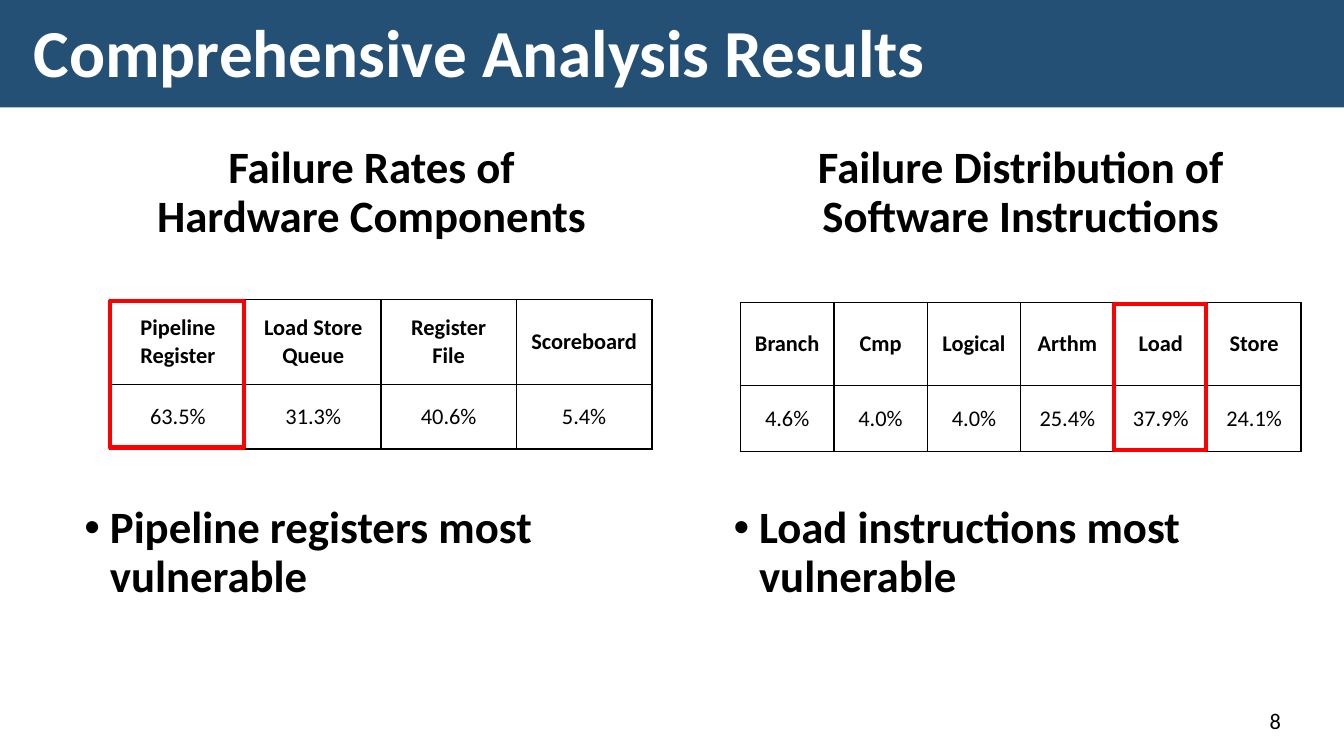
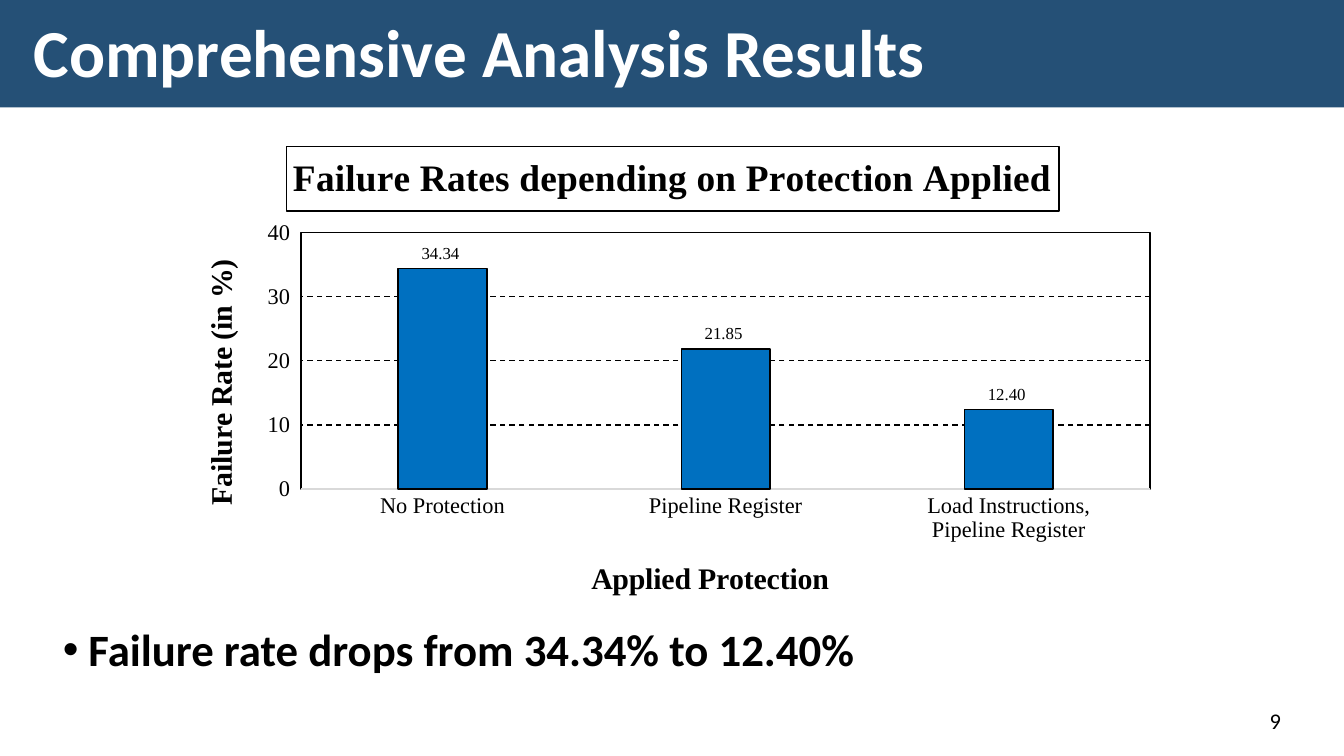
from dataclasses import dataclass

from lxml import etree
from pptx import Presentation
from pptx.chart.data import CategoryChartData
from pptx.dml.color import RGBColor
from pptx.enum.chart import XL_CHART_TYPE, XL_LABEL_POSITION, XL_TICK_MARK
from pptx.enum.dml import MSO_LINE
from pptx.enum.shapes import MSO_SHAPE
from pptx.enum.text import MSO_ANCHOR, PP_ALIGN
from pptx.oxml import parse_xml
from pptx.oxml.ns import nsdecls, qn
from pptx.util import Inches, Pt

COLUMNS = XL_CHART_TYPE.COLUMN_CLUSTERED
OUTSIDE_END = XL_LABEL_POSITION.OUTSIDE_END
NO_TICK = XL_TICK_MARK.NONE
DASH = MSO_LINE.DASH
RECTANGLE = MSO_SHAPE.RECTANGLE
TOP, MIDDLE, BOTTOM = MSO_ANCHOR.TOP, MSO_ANCHOR.MIDDLE, MSO_ANCHOR.BOTTOM
LEFT, CENTER, RIGHT = PP_ALIGN.LEFT, PP_ALIGN.CENTER, PP_ALIGN.RIGHT


@dataclass(frozen=True)
class Theme:
    """Colours, fonts and type sizes of the deck."""
    band: RGBColor = RGBColor(0x25, 0x50, 0x76)
    ink: RGBColor = RGBColor(0, 0, 0)
    paper: RGBColor = RGBColor(0xFF, 0xFF, 0xFF)
    highlight: RGBColor = RGBColor(0xFF, 0, 0)
    bar: RGBColor = RGBColor(0, 0x70, 0xC0)
    axis: RGBColor = RGBColor(0xD9, 0xD9, 0xD9)
    font: str = "Calibri"
    chart_font: str = "Times New Roman"
    title: int = 36
    body: int = 24
    small: int = 12
    chart_title: int = 20
    axis_title: int = 16
    value_label: int = 9


THEME = Theme()
TITLE = "Comprehensive Analysis Results"
PAGE_WIDTH = 10
PAGE_HEIGHT = PAGE_WIDTH * 9 / 16
CHART_BOX = (1.28, 0.96, 7.43, 3.7)


def style_font(font, size, bold=False, color=THEME.ink, name=THEME.font):
    """Set size, weight, colour and typeface."""
    font.size = Pt(size)
    font.bold = bold
    font.color.rgb = color
    font.name = name


def set_line(line, color, width):
    """Give a line its colour and width in points."""
    line.color.rgb = color
    line.width = Pt(width)


def write_text(frame, text, size, bold=False, color=THEME.ink, align=LEFT,
               anchor=TOP, wrap=True, spacing=0.9, bullet=False):
    """Write one formatted paragraph into a text frame."""
    frame.word_wrap = wrap
    frame.vertical_anchor = anchor
    frame.margin_left = frame.margin_right = Inches(0.1)
    frame.margin_top = frame.margin_bottom = Inches(0.05)
    para = frame.paragraphs[0]
    para.text = text
    para.alignment = align
    para.line_spacing = spacing
    if bullet:
        properties = para._p.get_or_add_pPr()
        properties.set("marL", str(Inches(0.19)))
        properties.set("indent", str(Inches(-0.19)))
        etree.SubElement(properties, qn("a:buFont"), typeface="Arial")
        etree.SubElement(properties, qn("a:buChar"), char="•")
    style_font(para.font, size, bold, color)


def add_text(page, box, text, size, **options):
    """Add a text box at the given left, top, width and height."""
    shape = page.shapes.add_textbox(*map(Inches, box))
    write_text(shape.text_frame, text, size, **options)


def add_rectangle(page, box):
    """Add a rectangle without a shadow."""
    shape = page.shapes.add_shape(RECTANGLE, *map(Inches, box))
    shape.shadow.inherit = False
    return shape


def add_page(deck, number):
    """Add a page with the title band, title and page number."""
    page = deck.slides.add_slide(deck.slide_layouts[5])
    band = add_rectangle(page, (0, 0, PAGE_WIDTH, 0.8))
    band.fill.solid()
    band.fill.fore_color.rgb = THEME.band
    band.line.fill.background()
    page.shapes._spTree.insert(2, band._element)
    title = page.shapes.title
    title.left, title.top, title.width, title.height = map(
        Inches, (0.15, 0.1, 9.7, 0.63))
    write_text(title.text_frame, TITLE, THEME.title, bold=True,
               color=THEME.paper, anchor=MIDDLE, wrap=False)
    add_text(page, (7.06, 5.21, 2.57, 0.3), str(number), THEME.small,
             align=RIGHT, anchor=BOTTOM, spacing=1)
    return page


def add_borders(cell):
    """Draw a thin line on each side of a cell."""
    properties = cell._tc.get_or_add_tcPr()
    for index, side in enumerate("LRTB"):
        properties.insert(index, parse_xml(
            f'<a:ln{side} {nsdecls("a")} w="{Pt(1)}"><a:solidFill>'
            f'<a:srgbClr val="{THEME.ink}"/></a:solidFill></a:ln{side}>'))


def add_rates(page, box, header_height, rates, marked):
    """Add a table of rates and outline its marked column."""
    left, top, width, height = box
    table = page.shapes.add_table(2, len(rates), *map(Inches, box)).table
    table.first_row = table.horz_banding = False
    step = width / len(rates)
    table.rows[0].height = Inches(header_height)
    table.rows[1].height = Inches(height - header_height)
    for column, pair in enumerate(rates.items()):
        table.columns[column].width = Inches(step)
        for row, text in enumerate(pair):
            cell = table.cell(row, column)
            cell.fill.background()
            add_borders(cell)
            cell.vertical_anchor = MIDDLE
            para = cell.text_frame.paragraphs[0]
            para.text = text
            para.alignment = CENTER
            style_font(para.font, THEME.small, bold=row == 0)
    offset = step * list(rates).index(marked)
    outline = add_rectangle(
        page, (left + offset, top + 0.01, step - 0.01, height - 0.02))
    outline.fill.background()
    set_line(outline.line, THEME.highlight, 2.25)


def add_finding(page, box, heading, conclusion):
    """Add a centred heading and the bullet below its table."""
    left, top, width, _ = box
    add_text(page, (left, top, width, 0.8), heading, THEME.body,
             bold=True, align=CENTER)
    add_text(page, (left, top + 2.68, width, 0.8), conclusion, THEME.body,
             bold=True, bullet=True)


def place(element, index, **inches):
    """Fix a chart part at lengths measured from the chart's corner."""
    _, _, width, height = CHART_BOX
    for old in element.findall(qn("c:layout")):
        element.remove(old)
    layout = etree.Element(qn("c:layout"))
    manual = etree.SubElement(layout, qn("c:manualLayout"))
    if "w" in inches:
        etree.SubElement(manual, qn("c:layoutTarget"), val="inner")
    for axis in "xy":
        etree.SubElement(manual, qn(f"c:{axis}Mode"), val="edge")
    for key, value in inches.items():
        share = value / (width if key in "xw" else height)
        etree.SubElement(manual, qn(f"c:{key}"), val=f"{share:.4f}")
    element.insert(index, layout)


def write_chart_title(title, text, size, x, y):
    """Write and place the title of a chart or an axis."""
    para = title.text_frame.paragraphs[0]
    para.text = text
    style_font(para.font, size, True, name=THEME.chart_font)
    place(title._element, 1, x=x, y=y)


def format_axes(chart):
    """Format both axes and write their titles."""
    categories, values = chart.category_axis, chart.value_axis
    for axis in (categories, values):
        axis.major_tick_mark = axis.minor_tick_mark = NO_TICK
        style_font(axis.tick_labels.font, THEME.small, name=THEME.chart_font)
    set_line(categories.format.line, THEME.axis, 0.75)
    values.format.line.fill.background()
    values.minimum_scale, values.maximum_scale = 0, 40
    values.major_unit = 10
    values.tick_labels.number_format = "0_ "
    values.tick_labels.number_format_is_linked = False
    grid = values.major_gridlines.format.line
    set_line(grid, THEME.ink, 0.75)
    grid.dash_style = DASH
    write_chart_title(categories.axis_title, "Applied Protection",
                      THEME.axis_title, 3.08, 3.16)
    write_chart_title(values.axis_title, "Failure Rate (in %)",
                      THEME.axis_title, 0.18, 0.93)
    body = values.axis_title.text_frame._txBody.bodyPr
    body.set("rot", "-5400000")
    body.set("vert", "horz")


def format_bars(plot):
    """Format the bars and their value labels."""
    plot.gap_width, plot.overlap = 219, -27
    plot.vary_by_categories = False
    bars = plot.series[0]
    bars.format.fill.solid()
    bars.format.fill.fore_color.rgb = THEME.bar
    set_line(bars.format.line, THEME.ink, 0.75)
    labels = bars.data_labels
    labels.show_value = True
    labels.position = OUTSIDE_END
    labels.number_format = "0.00_ "
    labels.number_format_is_linked = False
    style_font(labels.font, THEME.value_label, name=THEME.chart_font)


def add_protection_chart(page, box):
    """Add the column chart of failure rates by protection."""
    data = CategoryChartData()
    data.categories = ["No Protection", "Pipeline Register",
                       "Load Instructions,\nPipeline Register"]
    data.add_series("Series 1", (34.34, 21.85, 12.4))
    chart = page.shapes.add_chart(COLUMNS, *map(Inches, box), data).chart
    chart.has_legend = False
    style_font(chart.font, 10, name=THEME.chart_font)
    write_chart_title(chart.chart_title,
                      "Failure Rates depending on Protection Applied",
                      THEME.chart_title, 0.85, 0.13)
    set_line(chart.chart_title.format.line, THEME.ink, 0.75)
    format_axes(chart)
    format_bars(chart.plots[0])
    area = chart._chartSpace.chart.plotArea
    place(area, 0, x=0.96, y=0.77, w=6.32, h=1.91)
    area.append(parse_xml(
        f'<c:spPr {nsdecls("c", "a")}><a:noFill/><a:ln w="{Pt(1)}">'
        f'<a:solidFill><a:srgbClr val="{THEME.ink}"/></a:solidFill>'
        '</a:ln></c:spPr>'))


def build_rates_page(deck):
    """Build the page with the two tables side by side."""
    page = add_page(deck, 8)
    add_finding(page, (0.53, 1.03, 4.47, 4.35),
                "Failure Rates of\vHardware Components",
                "Pipeline registers most vulnerable")
    add_rates(page, (0.82, 2.23, 4.03, 1.11), 0.63, {
        "Pipeline Register": "63.5%", "Load Store Queue": "31.3%",
        "Register File": "40.6%", "Scoreboard": "5.4%",
    }, "Pipeline Register")
    add_finding(page, (5.36, 1.03, 4.47, 4.35),
                "Failure Distribution of\vSoftware Instructions",
                "Load instructions most vulnerable")
    add_rates(page, (5.51, 2.25, 4.17, 1.11), 0.62, {
        "Branch": "4.6%", "Cmp": "4.0%", "Logical": "4.0%",
        "Arthm": "25.4%", "Load": "37.9%", "Store": "24.1%",
    }, "Load")


def build_protection_page(deck):
    """Build the page with the protection chart."""
    page = add_page(deck, 9)
    add_protection_chart(page, CHART_BOX)
    add_text(page, (0.37, 4.62, 9.26, 0.5),
             "Failure rate drops from 34.34% to 12.40%", THEME.body,
             bold=True, bullet=True)


def main():
    """Build and save the deck."""
    deck = Presentation()
    deck.slide_width = Inches(PAGE_WIDTH)
    deck.slide_height = Inches(PAGE_HEIGHT)
    build_rates_page(deck)
    build_protection_page(deck)
    deck.save("out.pptx")


if __name__ == "__main__":
    main()
